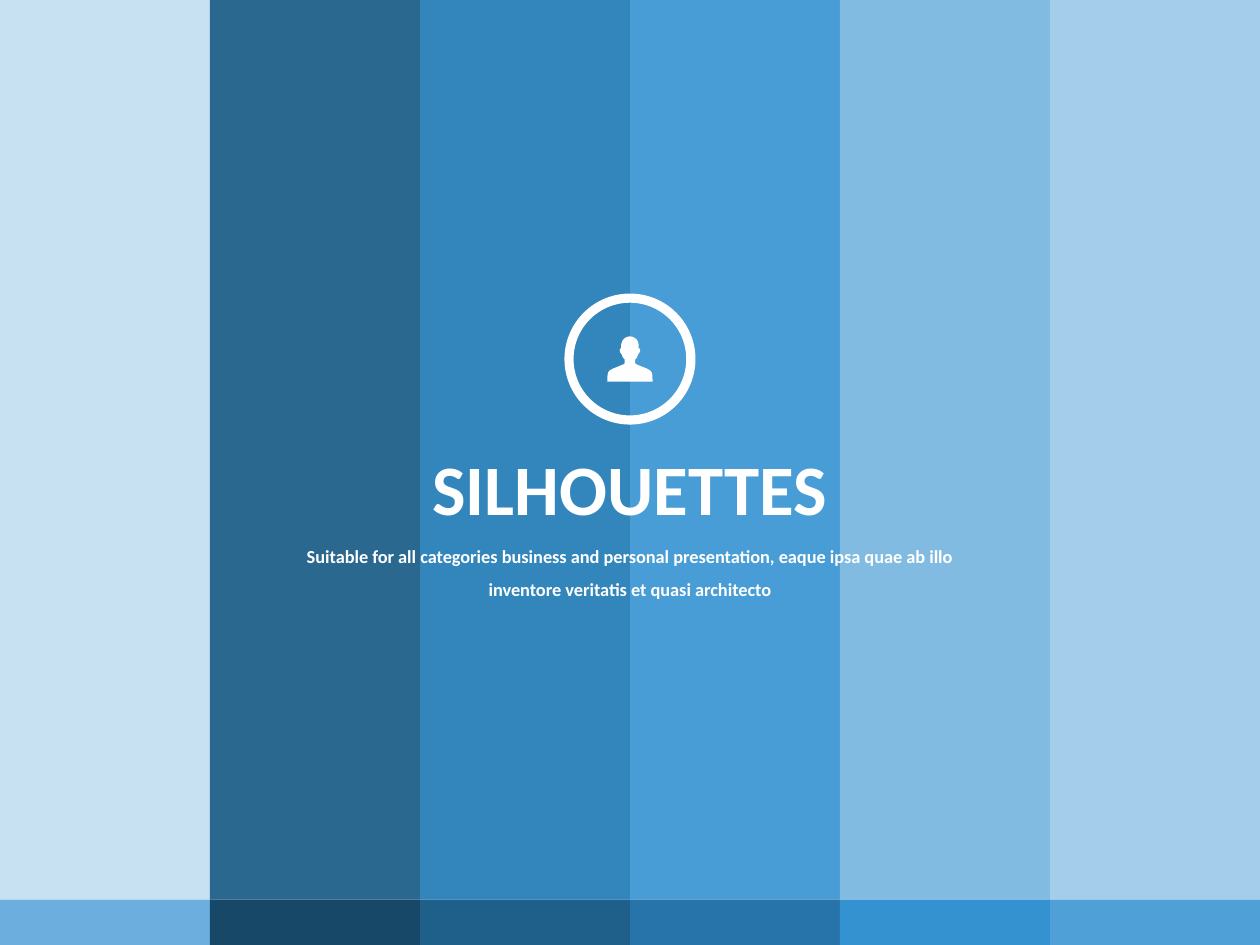
from pptx import Presentation
from pptx.dml.color import RGBColor
from pptx.enum.shapes import MSO_SHAPE
from pptx.enum.text import MSO_AUTO_SIZE, PP_ALIGN
from pptx.oxml.ns import qn
from pptx.util import Inches, Pt
from lxml import etree

RECT, DONUT = MSO_SHAPE.RECTANGLE, MSO_SHAPE.DONUT
CENTER = PP_ALIGN.CENTER
FIT_SHAPE = MSO_AUTO_SIZE.SHAPE_TO_FIT_TEXT
FONT = "Calibri"
COLORS = {
    "white": "FFFFFF", "ice": "C6E0F2", "navy": "174868", "deep": "1F608B",
    "blue": "2980B9", "mid": "2674A9", "bright": "3492D1", "sky": "4098D4",
    "azure": "4FA0D7", "soft": "6CAFDE", "light": "7BB8E1", "pale": "9FCBE9",
}
STRIPES = ["ice", "deep", "blue", "sky", "light", "pale"]
FOOTER = ["soft", "navy", "deep", "mid", "bright", "azure"]

# Right half of the bust, in thousandths of an inch from the top of the head
BUST_HEIGHT = 360
BUST = [(0, 0), (20, 3), (38, 12), (54, 26), (64, 43), (69, 65), (70, 95),
        (78, 97), (81, 108), (79, 122), (72, 136), (64, 144), (60, 158),
        (52, 172), (42, 182), (42, 215), (50, 221), (90, 238), (130, 254),
        (160, 270), (172, 284), (178, 308), (180, 360)]


def paint(sp, color, alpha=None):
    sp.shadow.inherit = False
    sp.fill.solid()
    sp.fill.fore_color.rgb = RGBColor.from_string(COLORS[color])
    sp.line.fill.background()
    if alpha is not None:
        clr = sp.fill._xPr.find(".//" + qn("a:srgbClr"))
        etree.SubElement(clr, qn("a:alpha")).set("val", str(alpha * 1000))


def add_bands(shapes, x, y, w, h, colors, alpha=None):
    """Fill the box with equal columns, one for each colour."""
    step = w / len(colors)
    for i, color in enumerate(colors):
        sp = shapes.add_shape(RECT, Inches(x + i * step), Inches(y),
                              Inches(step), Inches(h))
        paint(sp, color, alpha)


def add_badge(s, x, y, size):
    """Ring with a bust in its middle."""
    ring = s.shapes.add_shape(DONUT, Inches(x), Inches(y),
                              Inches(size), Inches(size))
    ring.adjustments[0] = 0.07
    paint(ring, "white")

    left = [(-dx, dy) for dx, dy in reversed(BUST[1:])]
    fb = s.shapes.build_freeform(*BUST[0], scale=Inches(1) / 1000)
    fb.add_line_segments(BUST[1:] + left, close=True)
    top = y + (size - BUST_HEIGHT / 1000) / 2
    bust = fb.convert_to_shape(Inches(x + size / 2), Inches(top))
    paint(bust, "white")


def add_text(s, x, y, w, h, text, size, wrap, spacing=None):
    tf = s.shapes.add_textbox(Inches(x), Inches(y), Inches(w), Inches(h)).text_frame
    tf.word_wrap = wrap
    tf.auto_size = FIT_SHAPE
    p = tf.paragraphs[0]
    p.alignment = CENTER
    if spacing:
        p.line_spacing = spacing
    r = p.add_run()
    r.text = text
    r.font.name = FONT
    r.font.size = Pt(size)
    r.font.bold = True
    r.font.color.rgb = RGBColor.from_string(COLORS["white"])


def main():
    prs = Presentation()
    prs.slide_width, prs.slide_height = Inches(10), Inches(7.5)
    s = prs.slides.add_slide(prs.slide_layouts[6])

    # Background stripes and footer strip
    add_bands(s.shapes, 0, 0, 10, 7.14, STRIPES, alpha=95)
    add_bands(s.shapes.add_group_shape().shapes, 0, 7.14, 10, 0.36, FOOTER)

    # Title and subtitle
    add_text(s, 3.32, 3.48, 3.36, 0.78, "SILHOUETTES", 40.5, wrap=False)
    add_text(s, 2.19, 4.19, 5.62, 0.63,
             "Suitable for all categories business and personal presentation, "
             "eaque ipsa quae ab illo inventore veritatis et quasi architecto",
             10.5, wrap=True, spacing=1.5)

    # Icon
    add_badge(s, 4.48, 2.33, 1.04)
    prs.save("out.pptx")


if __name__ == "__main__":
    main()
